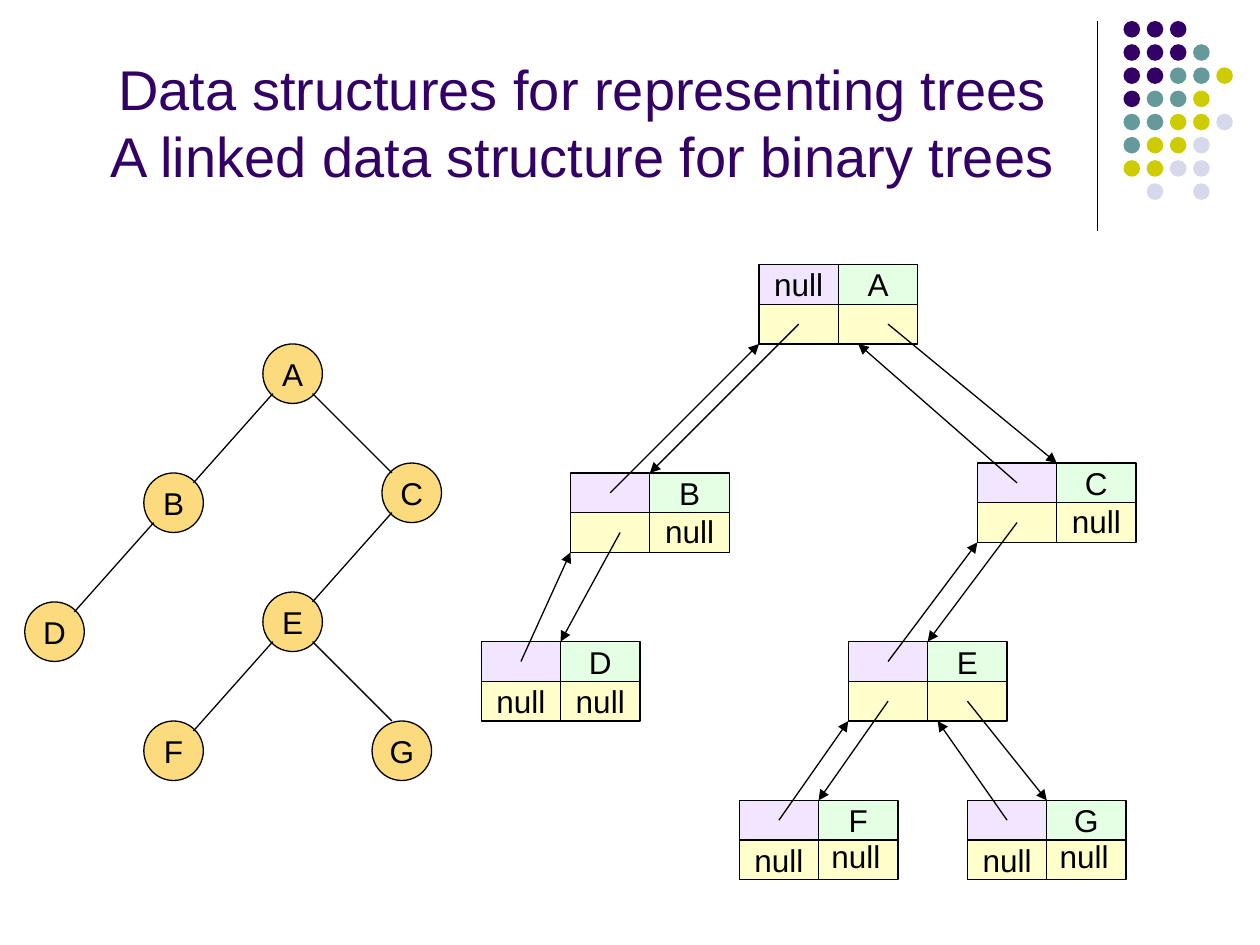
import dataclasses
import typing

import pptx
import pptx.dml.color
import pptx.enum.shapes
import pptx.enum.text
import pptx.oxml
import pptx.oxml.ns
import pptx.util

Pt = pptx.util.Pt
Shapes = pptx.enum.shapes.MSO_SHAPE
Anchor = pptx.enum.text.MSO_ANCHOR
Point = tuple[float, float]

# Both trees lie on a grid of this step, counted from this origin
STEP = 5.67
ORIGIN_X, ORIGIN_Y = 14.17, 196.56
NODE_SIZE = 6
CELL_WIDTH, CELL_HEIGHT = 8, 4

BLACK = "000000"
TITLE_COLOUR = "330066"
NODE_FILL = ("FAB900", 50)
PARENT_FILL = ("CC99FF", 25)
VALUE_FILL = ("CCFFCC", 50)
CHILD_FILL = ("FFFF99", 50)
DOT_COLOURS = {"p": "330066", "t": "669999", "y": "CCCC00", "l": "D8D8EC"}
DOT_ROWS = ["ppp", "pppt", "pptty", "ptty", "ttyyl", "tyyl", "yyll", " l l"]


@dataclasses.dataclass
class Record:
    """A linked node; loose is the offset in points of an unboxed right null."""
    column: float
    row: float
    parent: str = ""
    left: str = ""
    right: str = ""
    loose: typing.Optional[Point] = None


@dataclasses.dataclass
class Link:
    """A parent and child; each end is an offset inside its record."""
    parent: str
    child: str
    down_start: Point
    up_end: Point


NODES: dict[str, Point] = {
    "A": (24, 0), "B": (12, 13), "C": (36, 12), "D": (0, 26),
    "E": (24, 25), "F": (12, 38), "G": (35, 38),
}
# parent, child, start offset in the parent, end offset in the child
EDGES = [
    ("A", "B", (1, 5), (5, 1)), ("B", "D", (1, 5), (5, 1)),
    ("C", "E", (1, 5), (5, 1)), ("E", "F", (1, 5), (5, 1)),
    ("A", "C", (5, 5), (1, 1)), ("E", "G", (5, 5), (2, 0)),
]
RECORDS = {
    "A": Record(74, -8, parent="null"),
    "B": Record(55, 13, loose=(46.8, 18.7)),
    "C": Record(96, 12, loose=(46.8, 18.7)),
    "D": Record(46, 30, left="null", right="null"),
    "E": Record(83, 30),
    "F": Record(72, 46, left="null", loose=(45.4, 17.3)),
    "G": Record(95, 46, left="null", loose=(45.4, 17.3)),
}
LINKS = [
    Link("A", "B", (4, 6), (0, 8)), Link("B", "D", (5, 6), (0, 8)),
    Link("A", "C", (13, 6), (10, 8)), Link("C", "E", (4, 6), (0, 8)),
    Link("E", "F", (4, 6), (0, 8)), Link("E", "G", (12, 6), (9, 8)),
]


def colour(value: str) -> pptx.dml.color.RGBColor:
    return pptx.dml.color.RGBColor.from_string(value)


def grid_point(column: float, row: float) -> Point:
    return ORIGIN_X + column * STEP, ORIGIN_Y + row * STEP


def shifted(base: Point, offset: Point) -> Point:
    return grid_point(base[0] + offset[0], base[1] + offset[1])


def write_text(shape, text: str, size: float = 18, text_colour: str = BLACK,
               anchor=Anchor.MIDDLE, wrap: bool = False) -> None:
    frame = shape.text_frame
    frame.word_wrap = wrap
    frame.vertical_anchor = anchor
    frame.text = text
    paragraph = frame.paragraphs[0]
    paragraph.alignment = pptx.enum.text.PP_ALIGN.CENTER
    for run in paragraph.runs:
        run.font.name = "Arial"
        run.font.size = Pt(size)
        run.font.color.rgb = colour(text_colour)


def add_filled(shapes, kind, position: Point, width: float, height: float,
               fill: str):
    shape = shapes.add_shape(kind, Pt(position[0]), Pt(position[1]),
                             Pt(width), Pt(height))
    shape.shadow.inherit = False
    shape.fill.solid()
    shape.fill.fore_color.rgb = colour(fill)
    shape.line.fill.background()
    return shape


def add_box(slide, kind, position: Point, width: float, height: float,
            fill: tuple[str, int], text: str = "") -> None:
    shape = add_filled(slide.shapes, kind, position, width * STEP,
                       height * STEP, fill[0])
    shape.line.color.rgb = colour(BLACK)
    shape.line.width = Pt(0.75)
    fill_colour = shape.fill._xPr.find(".//" + pptx.oxml.ns.qn("a:srgbClr"))
    alpha = pptx.oxml.parse_xml(
        f'<a:alpha {pptx.oxml.ns.nsdecls("a")} val="{fill[1] * 1000}"/>')
    fill_colour.append(alpha)
    if text:
        write_text(shape, text)


def add_line(slide, start: Point, end: Point, arrow: bool = False) -> None:
    line = slide.shapes.add_connector(
        pptx.enum.shapes.MSO_CONNECTOR.STRAIGHT,
        Pt(start[0]), Pt(start[1]), Pt(end[0]), Pt(end[1]))
    line.line.color.rgb = colour(BLACK)
    line.line.width = Pt(0.75)
    namespace = pptx.oxml.ns.nsdecls("a")
    if arrow:
        line.line._get_or_add_ln().append(
            pptx.oxml.parse_xml(f'<a:tailEnd {namespace} type="triangle"/>'))
    line._element.spPr.append(
        pptx.oxml.parse_xml(f"<a:effectLst {namespace}/>"))


def add_text(slide, position: Point, width: float, height: float, text: str,
             **style) -> None:
    box = slide.shapes.add_textbox(Pt(position[0]), Pt(position[1]),
                                   Pt(width), Pt(height))
    write_text(box, text, **style)


def add_record(slide, value: str, record: Record) -> None:
    cells = [(PARENT_FILL, record.parent), (VALUE_FILL, value),
             (CHILD_FILL, record.left), (CHILD_FILL, record.right)]
    for index, (fill, text) in enumerate(cells):
        row, column = divmod(index, 2)
        position = grid_point(record.column + column * CELL_WIDTH,
                              record.row + row * CELL_HEIGHT)
        add_box(slide, Shapes.RECTANGLE, position, CELL_WIDTH, CELL_HEIGHT,
                fill, text)


def main() -> None:
    presentation = pptx.Presentation()
    presentation.slide_width, presentation.slide_height = Pt(720), Pt(540)
    slide = presentation.slides.add_slide(presentation.slide_layouts[6])

    # Corner decoration
    add_line(slide, (627, 12), (627, 132))
    dots = slide.shapes.add_group_shape()
    for row, pattern in enumerate(DOT_ROWS):
        for column, key in enumerate(pattern):
            if key in DOT_COLOURS:
                add_filled(dots.shapes, Shapes.OVAL,
                           (642 + column * 13.25, 12 + row * 13.25),
                           9.5, 9.5, DOT_COLOURS[key])

    # Title
    add_text(slide, (36, 9.5), 594, 102,
             "Data structures for representing trees\v"
             "A linked data structure for binary trees",
             size=32, text_colour=TITLE_COLOUR, anchor=Anchor.BOTTOM, wrap=True)

    # Plain tree
    for name, place in NODES.items():
        add_box(slide, Shapes.OVAL, grid_point(*place), NODE_SIZE, NODE_SIZE,
                NODE_FILL, name)
    for parent, child, start, end in EDGES:
        add_line(slide, shifted(NODES[parent], start),
                 shifted(NODES[child], end))

    # Linked records, with a pointer each way between parent and child
    for value, record in RECORDS.items():
        add_record(slide, value, record)
    for link in LINKS:
        parent, child = RECORDS[link.parent], RECORDS[link.child]
        parent_place = (parent.column, parent.row)
        child_place = (child.column, child.row)
        add_line(slide, shifted(parent_place, link.down_start),
                 shifted(child_place, (CELL_WIDTH, 0)), arrow=True)
        add_line(slide, shifted(child_place, (4, 2)),
                 shifted(parent_place, link.up_end), arrow=True)
    for record in RECORDS.values():
        if record.loose:
            left, top = grid_point(record.column, record.row)
            add_text(slide, (left + record.loose[0], top + record.loose[1]),
                     42.5, 29, "null", anchor=Anchor.TOP)

    presentation.save("out.pptx")


if __name__ == "__main__":
    main()
